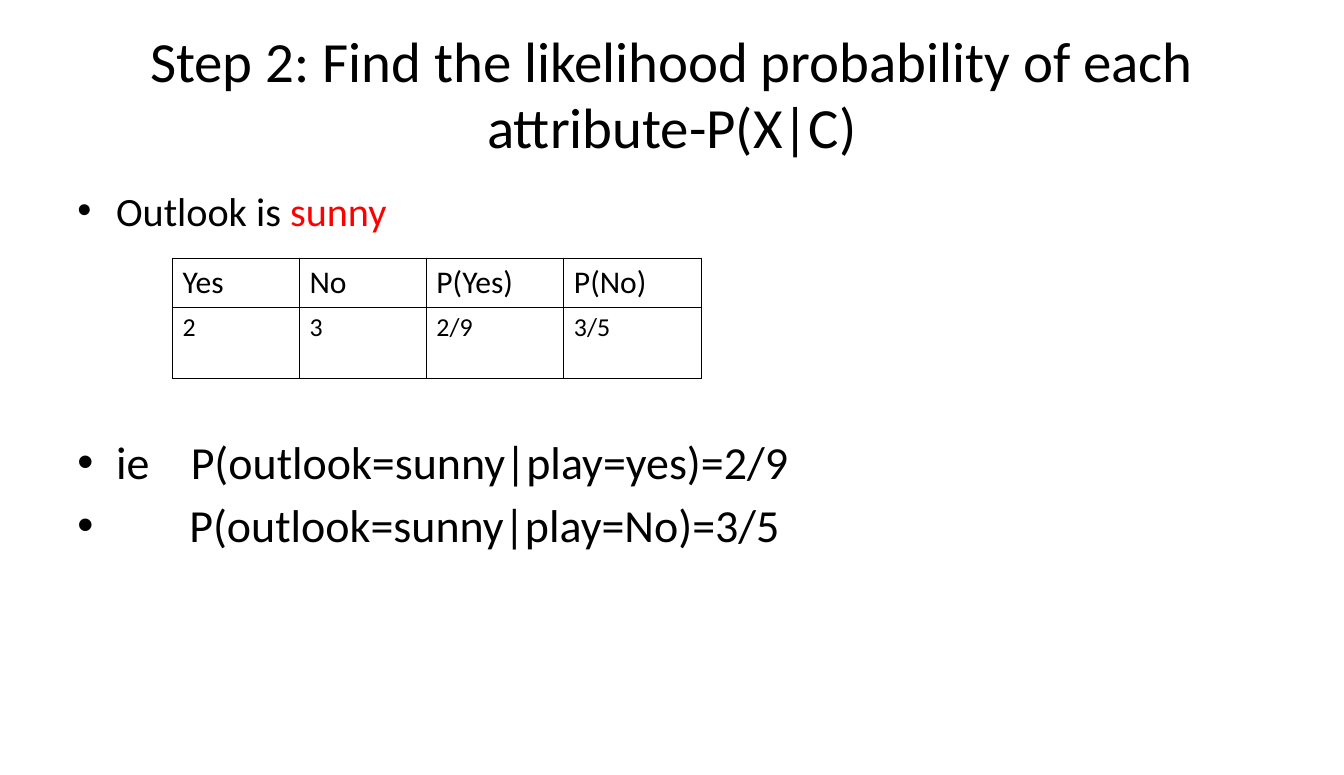
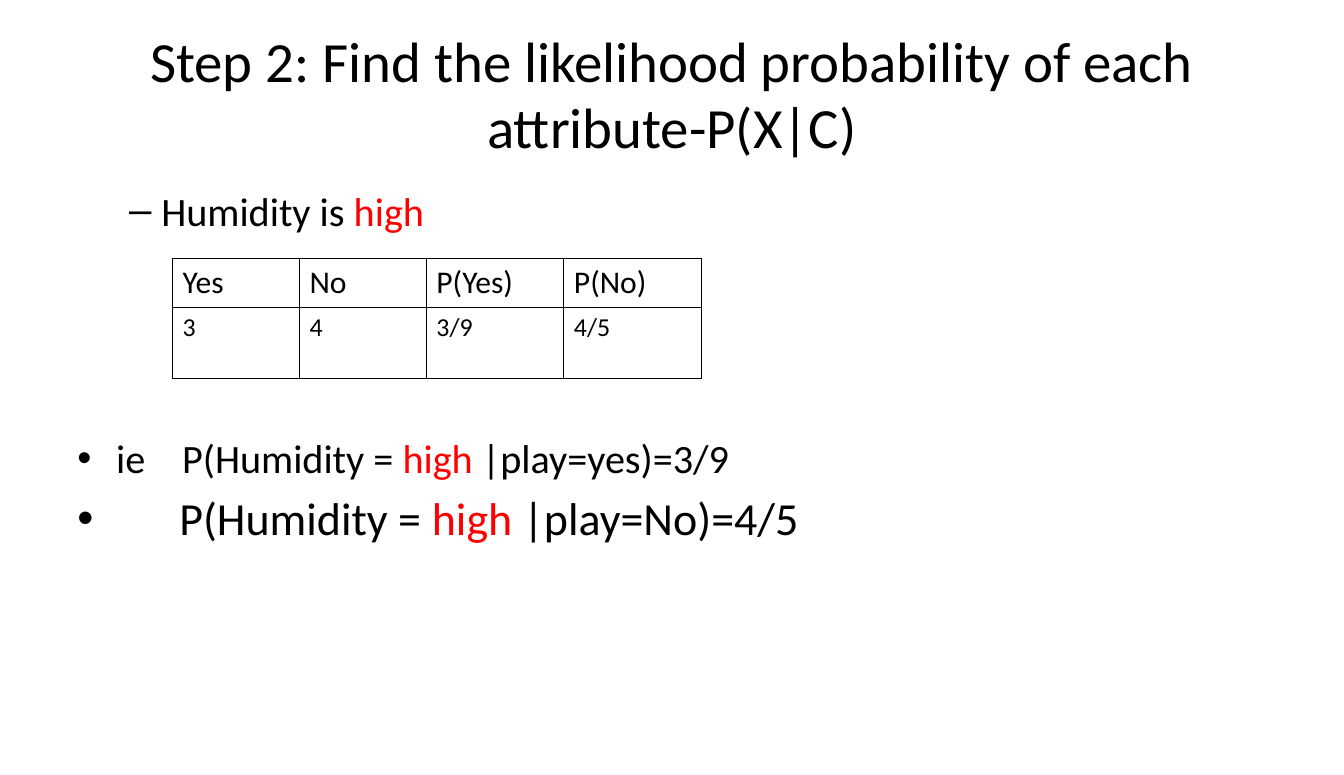
from pptx import Presentation
from pptx.dml.color import RGBColor
from pptx.enum.text import MSO_ANCHOR, PP_ALIGN
from pptx.oxml.ns import qn
from pptx.util import Pt
from lxml import etree

CENTER = PP_ALIGN.CENTER
MIDDLE = MSO_ANCHOR.MIDDLE
COLORS = {"text": "000000", "accent": "FF0000", "background": "FFFFFF"}
FONT = "Calibri"

TITLE = "Step 2: Find the likelihood probability of each attribute-P(X|C)"
HEADERS = ["Yes", "No", "P(Yes)", "P(No)"]
DOT = {"mark": "•", "left": 27, "hang": 27}
DASH = {"mark": "–", "left": 58.5, "hang": 22.5}
TABLE_GAP = 139
LINE_GAP = 5.5

SLIDES = [
    {
        "counts": ["2", "3", "2/9", "3/5"],
        "lines": [
            {"bullet": DOT, "size": 28, "before": LINE_GAP,
             "spans": [("Outlook is ", "text"), ("sunny", "accent")]},
            {"bullet": DOT, "size": 32, "before": TABLE_GAP, "tab": 79,
             "spans": [("ie\tP(outlook=sunny|play=yes)=2/9", "text")]},
            {"bullet": DOT, "size": 32, "before": LINE_GAP, "tab": 78,
             "spans": [("\tP(outlook=sunny|play=No)=3/5", "text")]},
        ],
    },
    {
        "counts": ["3", "4", "3/9", "4/5"],
        "lines": [
            {"bullet": DASH, "size": 28, "before": LINE_GAP,
             "spans": [("Humidity is ", "text"), ("high", "accent")]},
            {"bullet": DOT, "size": 28, "before": TABLE_GAP, "tab": 73,
             "spans": [("ie\tP(Humidity = ", "text"), ("high ", "accent"),
                       ("|play=yes)=3/9", "text")]},
            {"bullet": DOT, "size": 32, "before": LINE_GAP, "tab": 71,
             "spans": [("\tP(Humidity = ", "text"), ("high ", "accent"),
                       ("|play=No)=4/5", "text")]},
        ],
    },
]

SLIDE_SIZE = (936, 540)
TITLE_AREA = (46.8, 21.6, 842.4, 90)
BODY_AREA = (46.8, 126, 842.4, 356.4)
TABLE_ORIGIN = (120, 180)
COLUMN_WIDTHS = [88.4, 88.4, 95.8, 95.8]
ROW_HEIGHTS = [34, 50]
ROW_SIZES = [22, 18]


def apply(target, values):
    for name, value in values.items():
        setattr(target, name, value)


def add_span(para, text, size, color="text"):
    span = para.add_run()
    span.text = text
    apply(span.font, {"name": FONT, "size": Pt(size)})
    span.font.color.rgb = RGBColor.from_string(COLORS[color])


def add_box(page, area):
    box = page.shapes.add_textbox(*map(Pt, area))
    box.text_frame.word_wrap = True
    return box.text_frame


def set_bullet(para, bullet, tab):
    props = para._p.get_or_add_pPr()
    props.set("marL", str(Pt(bullet["left"])))
    props.set("indent", str(-Pt(bullet["hang"])))
    etree.SubElement(props, qn("a:buFont"), typeface="Arial")
    etree.SubElement(props, qn("a:buChar"), char=bullet["mark"])
    if tab:
        stops = etree.SubElement(props, qn("a:tabLst"))
        etree.SubElement(stops, qn("a:tab"), pos=str(Pt(tab)), algn="l")


def add_title(page):
    frame = add_box(page, TITLE_AREA)
    frame.vertical_anchor = MIDDLE
    para = frame.paragraphs[0]
    apply(para, {"alignment": CENTER, "line_spacing": 0.97})
    add_span(para, TITLE, 39.6)


def add_body(page, lines):
    frame = add_box(page, BODY_AREA)
    for index, line in enumerate(lines):
        para = frame.add_paragraph() if index else frame.paragraphs[0]
        para.space_before = Pt(line["before"])
        set_bullet(para, line["bullet"], line.get("tab"))
        for text, color in line["spans"]:
            add_span(para, text, line["size"], color)


def set_borders(cell):
    props = cell._tc.get_or_add_tcPr()
    for side in ("lnL", "lnR", "lnT", "lnB"):
        border = etree.SubElement(props, qn(f"a:{side}"), w=str(Pt(1)))
        fill = etree.SubElement(border, qn("a:solidFill"))
        etree.SubElement(fill, qn("a:srgbClr"), val=COLORS["text"])


def add_counts(page, counts):
    rows = [HEADERS, counts]
    area = (*TABLE_ORIGIN, sum(COLUMN_WIDTHS), sum(ROW_HEIGHTS))
    table = page.shapes.add_table(len(rows), len(HEADERS), *map(Pt, area)).table
    apply(table, {"first_row": False, "horz_banding": False})
    for column, width in zip(table.columns, COLUMN_WIDTHS):
        column.width = Pt(width)
    for row, height, size, texts in zip(table.rows, ROW_HEIGHTS, ROW_SIZES, rows):
        row.height = Pt(height)
        for cell, text in zip(row.cells, texts):
            set_borders(cell)
            cell.fill.background()
            add_span(cell.text_frame.paragraphs[0], text, size)


def main():
    deck = Presentation()
    deck.slide_width, deck.slide_height = map(Pt, SLIDE_SIZE)
    for content in SLIDES:
        page = deck.slides.add_slide(deck.slide_layouts[6])
        page.background.fill.solid()
        page.background.fill.fore_color.rgb = RGBColor.from_string(COLORS["background"])
        add_title(page)
        add_body(page, content["lines"])
        add_counts(page, content["counts"])
    deck.save("out.pptx")


if __name__ == "__main__":
    main()
